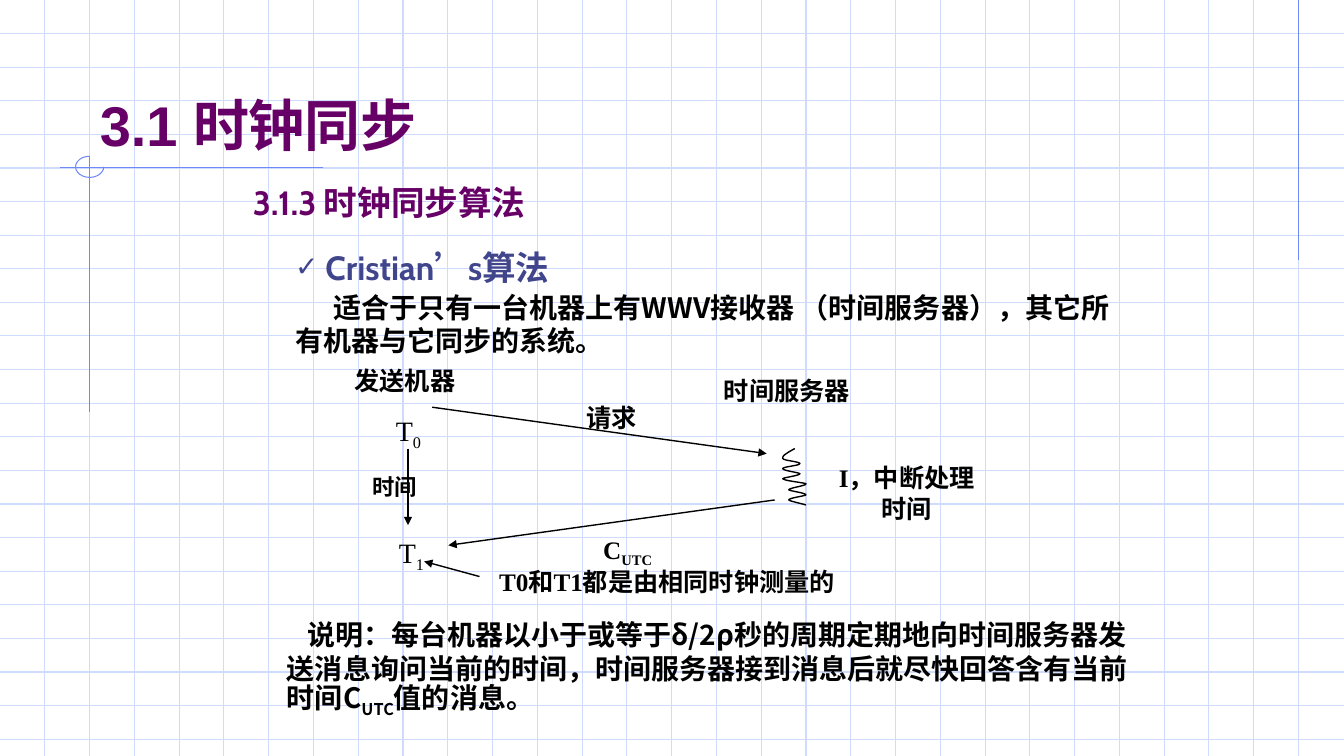
from lxml import etree
from pptx import Presentation
from pptx import util as u
from pptx.dml.color import RGBColor
from pptx.enum import shapes, text
from pptx.oxml.ns import qn

WIDTH, HEIGHT = 13.34, 7.5
COLUMN, ROW = 4 / 9, 1 / 3
GRID, RULE, PURPLE, BLUE, BLACK = "CFDBFD", "6F89F7", "660066", "40458C", "000000"
SERIF, SANS, CABIN, CHINESE = "Times New Roman", "Arial", "Cabin", "Noto Sans CJK SC"

# "~" switches subscript on and off.
TITLE = "3.1 时钟同步"
HEADING = "3.1.3 时钟同步算法"
ALGORITHM = [("Cristian", CABIN), ("’", CHINESE), ("s算法", CABIN)]

# left, top, width, height, size, font, first line indent, text
NOTES = [
    (2.83, 2.83, 8.42, 0.77, 20, CHINESE, 0.38,
     "适合于只有一台机器上有WWV接收器 （时间服务器），其它所有机器与它同步的系统。"),
    (2.75, 6.08, 8.58, 1.15, 20, CHINESE, 0.2,
     "说明：每台机器以小于或等于δ/2ρ秒的周期定期地向时间服务器发送消息询问当前的时间，"
     "时间服务器接到消息后就尽快回答含有当前时间C~UTC~值的消息。"),
]
# left, top, width, height, text
LABELS = [
    (8.17, 4.54, 1.66, 0.7, "I，中断处理时间"),
    (5.24, 3.94, 1.66, 0.4, "请求"),
    (5.4, 5.25, 1.66, 0.44, "C~UTC"),
    (6.98, 3.67, 1.66, 0.4, "时间服务器"),
    (4.68, 5.57, 3.88, 0.4, "T0和T1都是由相同时钟测量的"),
]
# text, size, bold, indent, space before, line height
SENDER = [
    ("发送机器", 18, True, 0, 0, 21.6),
    ("T~0", 20, False, 0.41, 12.5, 27.4),
    ("时间", 16, True, 0.18, 10, 24),
]
ARROWS = [
    (4.05, 4.45, 4.05, 5.21),
    (4.29, 4.04, 7.61, 4.5),
    (7.69, 4.96, 4.45, 5.41),
    (4.76, 5.72, 4.21, 5.57),
]
RULES = [(12.89, 0, 12.89, 2.58), (3.21, 1.66, 0.6, 1.66), (0.89, 1.55, 0.89, 4.09)]
# Start point, then two control points and an end point for each curve
COIL = [
    (7.89, 4.45), (7.82, 4.49), (7.76, 4.52), (7.77, 4.55), (7.78, 4.57), (7.94, 4.58),
    (7.94, 4.6), (7.94, 4.62), (7.77, 4.63), (7.77, 4.65), (7.77, 4.67), (7.94, 4.69),
    (7.94, 4.7), (7.94, 4.72), (7.76, 4.74), (7.77, 4.75), (7.78, 4.77), (7.99, 4.79),
    (8, 4.8), (8.01, 4.82), (7.83, 4.84), (7.83, 4.86), (7.83, 4.87), (8, 4.89),
    (8, 4.91), (8, 4.92), (7.83, 4.94), (7.83, 4.96), (7.83, 4.97), (7.97, 5), (8, 5.01),
]


def inches(*lengths):
    return [u.Inches(length) for length in lengths]


def rgb(value):
    return RGBColor.from_string(value)


def add_line(slide, ends, color, width=0.75, arrow=False):
    line = slide.shapes.add_connector(shapes.MSO_CONNECTOR.STRAIGHT, *inches(*ends))
    line.line.color.rgb = rgb(color)
    line.line.width = u.Pt(width)
    if arrow:
        etree.SubElement(line.line._get_or_add_ln(), qn("a:tailEnd"), type="triangle")
    etree.SubElement(line._element.spPr, qn("a:effectLst"))


def outline(shape, color, width):
    shape.shadow.inherit = False
    shape.fill.background()
    shape.line.color.rgb = rgb(color)
    shape.line.width = u.Pt(width)


def add_runs(paragraph, content, size, font, color=BLACK, bold=True):
    for index, piece in enumerate(content.split("~")):
        run = paragraph.add_run()
        run.text = piece
        run.font.size, run.font.bold = u.Pt(size), bold
        run.font.name = font
        run.font.color.rgb = rgb(color)
        properties = run.font._element
        properties.set("lang", "zh-CN")
        etree.SubElement(properties, qn("a:ea"), typeface=CHINESE)
        if index % 2:
            properties.set("baseline", "-25000")


def space(paragraph, line_height, before=0, margin=0, indent=0, bullet=None):
    paragraph.line_spacing = u.Pt(line_height)
    paragraph.space_before = u.Pt(before)
    properties = paragraph._p.get_or_add_pPr()
    properties.set("marL", str(u.Inches(margin)))
    properties.set("indent", str(u.Inches(indent)))
    if bullet:
        etree.SubElement(properties, qn("a:buSzPct"), val="83000")
        etree.SubElement(properties, qn("a:buFont"), typeface=SANS)
        etree.SubElement(properties, qn("a:buChar"), char=bullet)
    else:
        etree.SubElement(properties, qn("a:buNone"))


def add_box(slide, *place):
    frame = slide.shapes.add_textbox(*inches(*place)).text_frame
    frame.word_wrap = True
    return frame


def place_placeholder(slide, shape, anchor, *place):
    """Put a placeholder in front of everything drawn so far."""
    slide.shapes._spTree.append(shape._element)
    shape.left, shape.top, shape.width, shape.height = inches(*place)
    shape.text_frame.vertical_anchor = anchor
    shape.text_frame.auto_size = text.MSO_AUTO_SIZE.NONE
    return shape.text_frame


def draw_background(slide):
    for row in range(1, 23):
        add_line(slide, (0, row * ROW, WIDTH, row * ROW), GRID)
    for column in range(1, 30):
        add_line(slide, (column * COLUMN, 0, column * COLUMN, HEIGHT), GRID)
    for ends in RULES:
        add_line(slide, ends, RULE)
    arc = slide.shapes.add_shape(shapes.MSO_SHAPE.ARC, *inches(0.75, 1.55, 0.28, 0.21))
    arc.adjustments[0], arc.adjustments[1] = 0, 162
    outline(arc, RULE, 0.75)


def write_headings(slide):
    title = place_placeholder(slide, slide.shapes.title, text.MSO_ANCHOR.BOTTOM,
                              0.89, 0.33, 11.33, 1.25)
    title.margin_bottom = u.Inches(0.02)
    title.paragraphs[0].alignment = text.PP_ALIGN.LEFT
    space(title.paragraphs[0], 48)
    add_runs(title.paragraphs[0], TITLE, 40, SANS, PURPLE)

    body = place_placeholder(slide, slide.placeholders[1], text.MSO_ANCHOR.TOP,
                             2.33, 1.75, 8.74, 5.08)
    space(body.paragraphs[0], 29, margin=0.08)
    add_runs(body.paragraphs[0], HEADING, 24, CABIN, PURPLE)
    algorithm = body.add_paragraph()
    algorithm.level = 1
    space(algorithm, 29, before=17.6, margin=0.8, indent=-0.3, bullet="✓")
    for content, font in ALGORITHM:
        add_runs(algorithm, content, 24, font, BLUE)


def draw_coil(slide):
    points = []
    for start in range(0, len(COIL) - 1, 3):
        a, b, c, d = COIL[start:start + 4]
        for step in range(1, 9):
            t = step / 8
            points.append(inches(*(
                (1 - t) ** 3 * a[axis] + 3 * t * (1 - t) ** 2 * b[axis]
                + 3 * t * t * (1 - t) * c[axis] + t ** 3 * d[axis] for axis in (0, 1))))
    builder = slide.shapes.build_freeform(*inches(*COIL[0]))
    builder.add_line_segments(points, close=False)
    outline(builder.convert_to_shape(), BLACK, 1)


def draw_exchange(slide):
    sender = add_box(slide, 3.42, 3.58, 1.35, 1.43)
    for index, (content, size, bold, margin, before, height) in enumerate(SENDER):
        paragraph = sender.add_paragraph() if index else sender.paragraphs[0]
        space(paragraph, height, before, margin)
        add_runs(paragraph, content, size, SERIF, bold=bold)
    reply = add_box(slide, 3.86, 5.26, 0.55, 0.48).paragraphs[0]
    space(reply, 27.4)
    add_runs(reply, "T~1", 20, SERIF, bold=False)
    draw_coil(slide)
    for ends in ARROWS:
        add_line(slide, ends, BLACK, 1, arrow=True)
    for *place, content in LABELS:
        paragraph = add_box(slide, *place).paragraphs[0]
        paragraph.alignment = text.PP_ALIGN.CENTER
        space(paragraph, 24.5 if "~" in content else 21.6)
        add_runs(paragraph, content, 18, SERIF)


def main():
    presentation = Presentation()
    presentation.slide_width, presentation.slide_height = inches(WIDTH, HEIGHT)
    slide = presentation.slides.add_slide(presentation.slide_layouts[1])
    draw_background(slide)
    write_headings(slide)
    draw_exchange(slide)
    for *place, size, font, indent, content in NOTES:
        paragraph = add_box(slide, *place).paragraphs[0]
        space(paragraph, size * 1.2, indent=indent)
        add_runs(paragraph, content, size, font)
    presentation.save("out.pptx")


if __name__ == "__main__":
    main()
